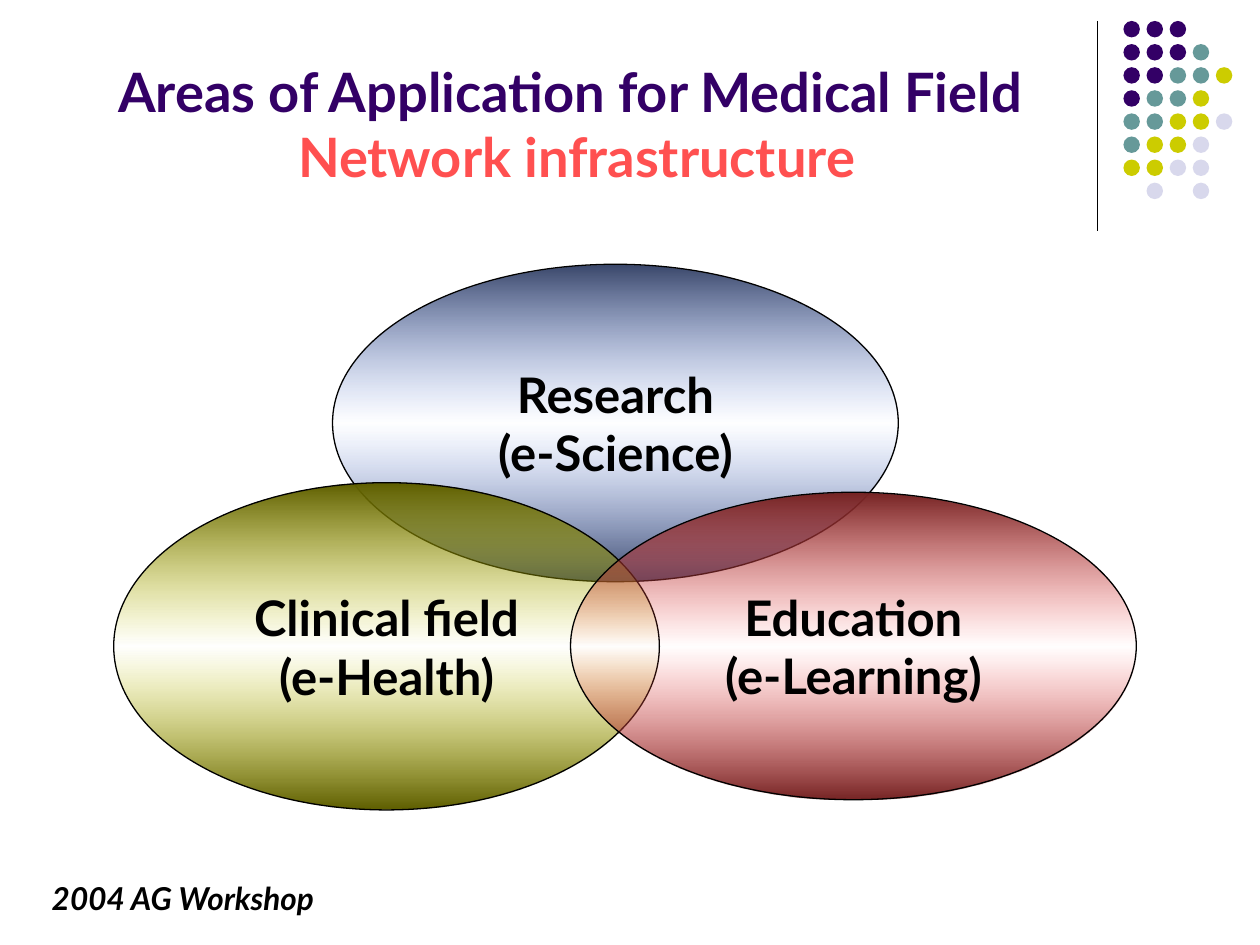
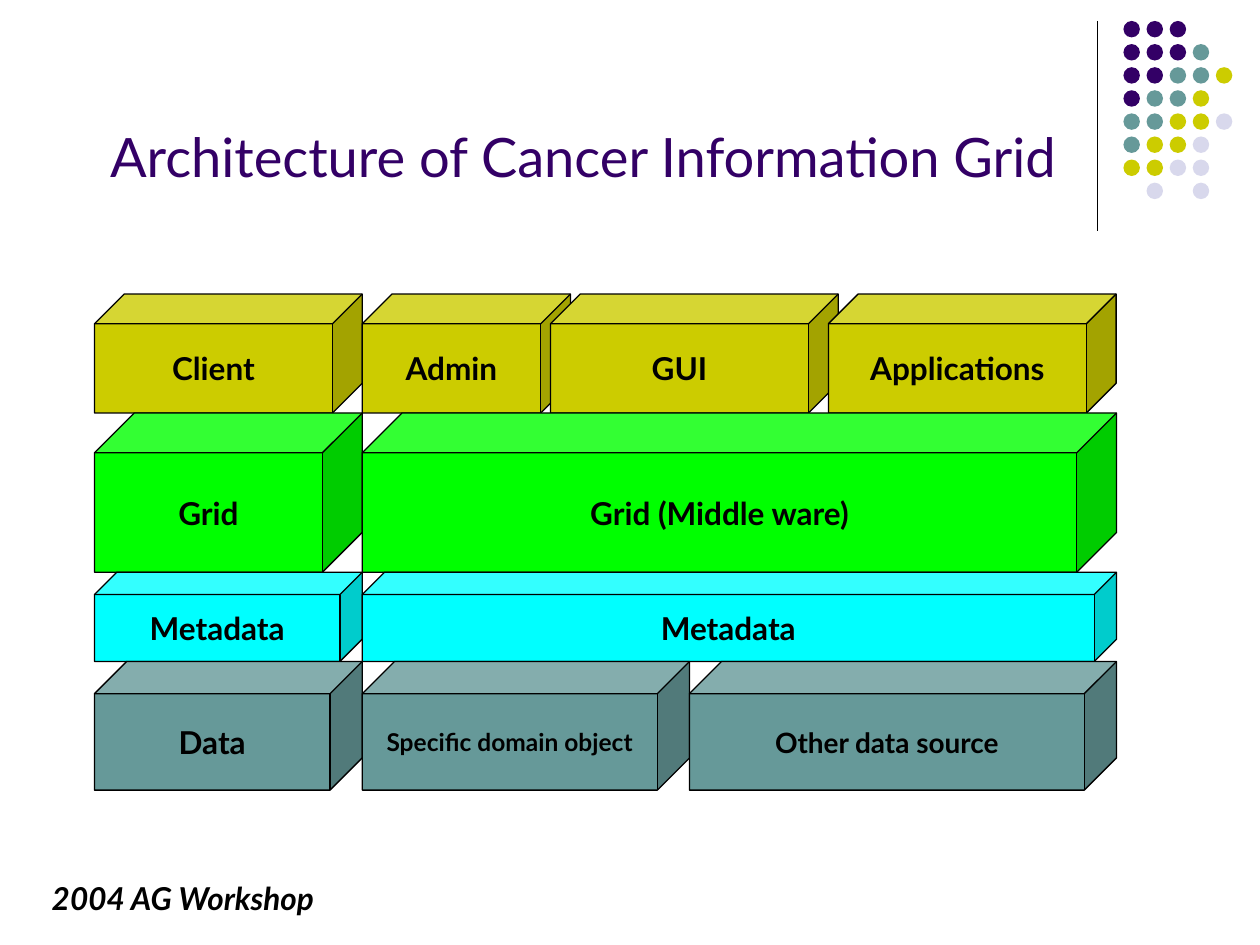
from copy import deepcopy

from lxml.etree import SubElement
from pptx import Presentation
from pptx.dml.color import RGBColor
from pptx.enum.shapes import MSO_CONNECTOR, MSO_SHAPE
from pptx.enum.text import MSO_ANCHOR, MSO_AUTO_SIZE, PP_ALIGN
from pptx.oxml.ns import qn
from pptx.util import Pt

FONT = "Lato"
BLACK = "000000"
PURPLE = "330066"
TEAL = "669999"
OLIVE = "CCCC00"
LAVENDER = "D8D8EC"
CORAL = "FF5050"
GREEN = "00FF00"
CYAN = "00FFFF"

DOT_COLORS = {"P": PURPLE, "T": TEAL, "O": OLIVE, "L": LAVENDER}
DOT_ROWS = ["PPP", "PPPT", "PPTTO", "PTTO", "TTOOL", "TOOL", "OOLL", " L L"]
DOT_SIZE = 9.4
DOT_PITCH = 13.2

# label, left, top, width, height, edge colour, middle colour
AREAS = [
    ("Research\n(e-Science)", 190, 151, 323.3, 181.4, "3A476A", "7E9CE8"),
    ("Clinical field\v(e-Health)", 65, 275.8, 311.8, 187, "5E5E00", OLIVE),
    ("Education\v(e-Learning)", 326, 281.3, 323.3, 175.7, "752424", CORAL),
]

# height, colour, blocks as (label, left, width, font size)
LAYERS_TOP = 168
LAYERS = [
    (68, OLIVE, [("Client", 54, 153, 18), ("Admin", 207, 119, 18),
                 ("GUI", 314.6, 164.4, 18), ("Applications", 473.4, 164.4, 18)]),
    (91, GREEN, [("Grid", 54, 153, 18), ("Grid (Middle ware)", 207, 431, 18)]),
    (51, CYAN, [("Metadata", 54, 153, 18), ("Metadata", 207, 431, 18)]),
    (73.5, TEAL, [("Data", 54, 153, 18), ("Specific domain object", 207, 187, 14),
                  ("Other data source", 394, 244, 16)]),
]


def rgb(color):
    return RGBColor.from_string(color)


def set_font(font, size, color, bold=True, italic=False):
    font.name = FONT
    font.size = Pt(size)
    font.bold = bold
    font.italic = italic
    font.color.rgb = rgb(color)


def add_preset(slide, kind, left, top, width, height):
    shape = slide.shapes.add_shape(kind, Pt(left), Pt(top), Pt(width), Pt(height))
    shape.shadow.inherit = False
    return shape


def add_label(shape, text, size):
    """Outline the shape and centre a bold black label on it."""
    shape.line.color.rgb = rgb(BLACK)
    shape.line.width = Pt(0.75)
    frame = shape.text_frame
    frame.word_wrap = False
    frame.vertical_anchor = MSO_ANCHOR.MIDDLE
    frame.text = text
    for paragraph in frame.paragraphs:
        paragraph.alignment = PP_ALIGN.CENTER
        set_font(paragraph.font, size, BLACK)


def fade_to_middle(shape, edge, middle):
    """Fill with a vertical gradient that is fully transparent halfway."""
    shape.fill.gradient()
    shape.fill.gradient_angle = 90
    first, second = shape.fill.gradient_stops
    first.color.rgb = rgb(edge)
    first.position = 0
    second.color.rgb = rgb(middle)
    second.position = 0.5
    stops = shape.element.spPr.find(".//" + qn("a:gsLst"))
    SubElement(stops[1][0], qn("a:alpha"), val="0")
    last = deepcopy(stops[0])
    last.set("pos", "100000")
    stops.append(last)


def add_area(slide, label, left, top, width, height, edge, middle):
    ellipse = add_preset(slide, MSO_SHAPE.OVAL, left, top, width, height)
    fade_to_middle(ellipse, edge, middle)
    add_label(ellipse, label, 28)


def add_block(slide, label, left, top, width, height, color, size):
    cube = add_preset(slide, MSO_SHAPE.CUBE, left, top, width, height)
    cube.adjustments[0] = 0.25
    cube.fill.solid()
    cube.fill.fore_color.rgb = rgb(color)
    add_label(cube, label, size)


def add_divider(slide):
    line = slide.shapes.add_connector(
        MSO_CONNECTOR.STRAIGHT, Pt(627), Pt(12), Pt(627), Pt(132))
    line.line.color.rgb = rgb(BLACK)
    line.line.width = Pt(0.75)
    SubElement(line.element.spPr, qn("a:effectLst"))


def add_dots(slide):
    for row, codes in enumerate(DOT_ROWS):
        for column, code in enumerate(codes):
            if code == " ":
                continue
            dot = add_preset(slide, MSO_SHAPE.OVAL, 642 + column * DOT_PITCH,
                             12 + row * DOT_PITCH, DOT_SIZE, DOT_SIZE)
            dot.fill.solid()
            dot.fill.fore_color.rgb = rgb(DOT_COLORS[code])
            dot.line.fill.background()


def add_footer(slide):
    box = slide.shapes.add_textbox(Pt(22.5), Pt(498.5), Pt(172), Pt(29))
    box.text_frame.word_wrap = False
    paragraph = box.text_frame.paragraphs[0]
    paragraph.text = "2004 AG Workshop"
    set_font(paragraph.font, 18, BLACK, italic=True)


def add_base_slide(presentation, title, left, width, bold):
    """Add a slide with the shared decoration and return it with its title paragraph."""
    slide = presentation.slides.add_slide(presentation.slide_layouts[5])
    placeholder = slide.shapes.title
    placeholder.left, placeholder.top = Pt(left), Pt(9.5)
    placeholder.width, placeholder.height = Pt(width), Pt(102)
    frame = placeholder.text_frame
    frame.auto_size = MSO_AUTO_SIZE.NONE
    frame.word_wrap = True
    frame.vertical_anchor = MSO_ANCHOR.BOTTOM
    paragraph = frame.paragraphs[0]
    paragraph.text = title
    paragraph.alignment = PP_ALIGN.CENTER
    set_font(paragraph.font, 31, PURPLE, bold)
    add_divider(slide)
    add_dots(slide)
    add_footer(slide)
    return slide, paragraph


def build_areas_slide(presentation):
    slide, title = add_base_slide(
        presentation, "Areas of Application for Medical Field \v", 3, 653, True)
    subtitle = title.add_run()
    subtitle.text = "Network infrastructure"
    subtitle.font.color.rgb = rgb(CORAL)
    for area in AREAS:
        add_area(slide, *area)


def build_architecture_slide(presentation):
    slide, _ = add_base_slide(
        presentation, "Architecture of Cancer Information Grid", 36, 594, False)
    top = LAYERS_TOP
    for height, color, blocks in LAYERS:
        for label, left, width, size in blocks:
            add_block(slide, label, left, top, width, height, color, size)
        top += height


def main():
    presentation = Presentation()
    presentation.slide_width, presentation.slide_height = Pt(720), Pt(540)
    build_areas_slide(presentation)
    build_architecture_slide(presentation)
    presentation.save("out.pptx")


if __name__ == "__main__":
    main()
